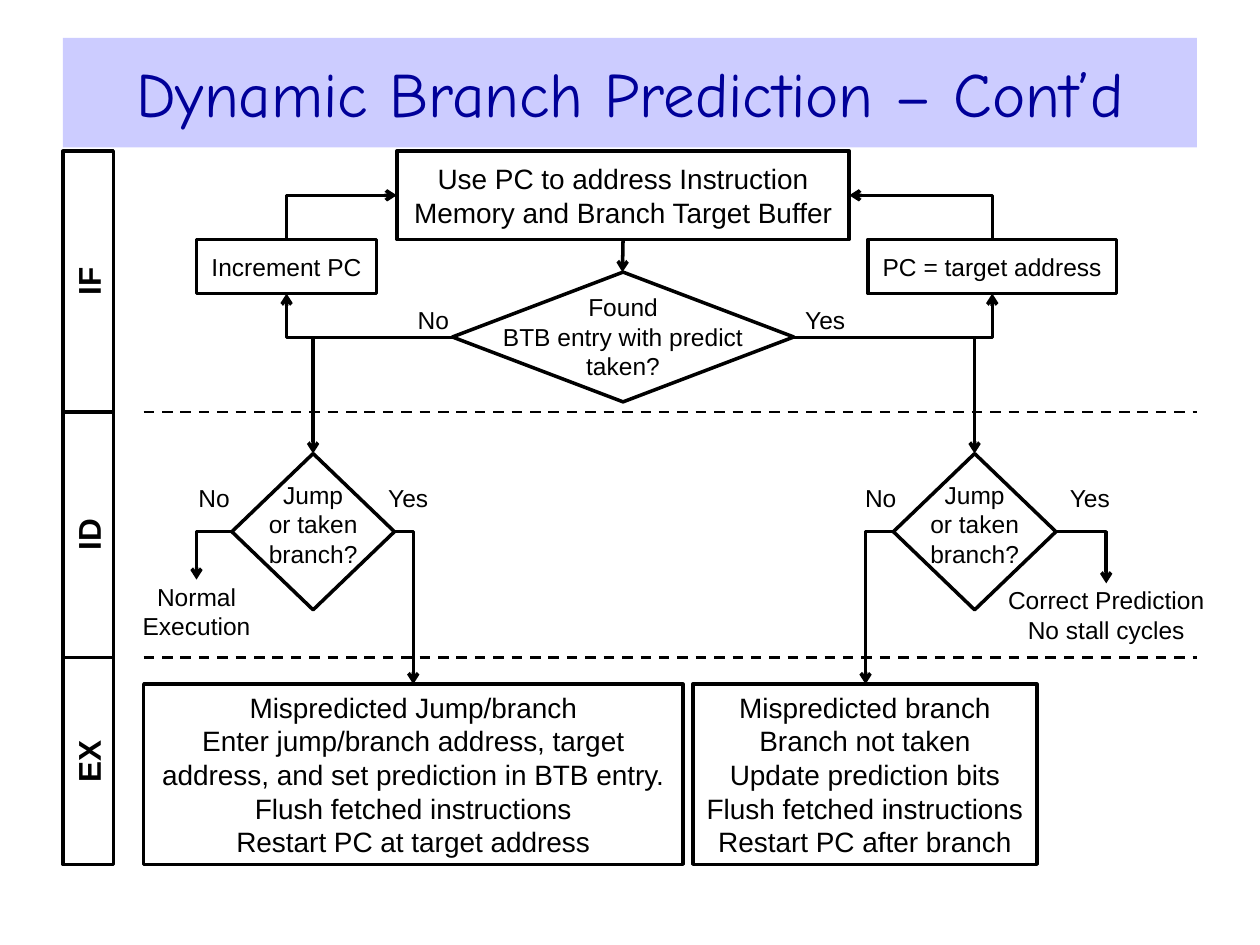
from dataclasses import dataclass

from lxml import etree
from pptx import Presentation
from pptx.dml.color import RGBColor
from pptx.enum.dml import MSO_LINE
from pptx.enum.shapes import MSO_CONNECTOR, MSO_SHAPE
from pptx.enum.text import MSO_ANCHOR, PP_ALIGN
from pptx.oxml.ns import qn
from pptx.util import Inches, Pt

STRAIGHT, ELBOW = MSO_CONNECTOR.STRAIGHT, MSO_CONNECTOR.ELBOW
PROCESS, DECISION = MSO_SHAPE.FLOWCHART_PROCESS, MSO_SHAPE.FLOWCHART_DECISION
RECTANGLE = MSO_SHAPE.RECTANGLE
MIDDLE, CENTER, DASH = MSO_ANCHOR.MIDDLE, PP_ALIGN.CENTER, MSO_LINE.DASH
TOP, BOTTOM = 0, 2


@dataclass(frozen=True)
class Theme:
    ink: RGBColor = RGBColor(0, 0, 0)
    paper: RGBColor = RGBColor(255, 255, 255)
    banner: RGBColor = RGBColor(0xCC, 0xCC, 0xFF)
    heading: RGBColor = RGBColor(0, 0, 0x99)
    title_font: str = "Comic Neue"
    body_font: str = "Arial"
    title: int = 36
    stage: int = 18
    step: int = 16
    label: int = 14
    stroke: float = 2
    divider: float = 1.5


THEME = Theme()


@dataclass(frozen=True)
class Box:
    left: float
    top: float
    width: float
    height: float

    def inner(self, x, y, width, height):
        return Box(self.left + x, self.top + y, width, height)

    def point(self, x, y):
        return self.left + x, self.top + y

    def lengths(self):
        return [Inches(v) for v in (self.left, self.top, self.width, self.height)]


def write(shape, lines, size, color=THEME.ink, font=THEME.body_font, bold=False, inset=0):
    frame = shape.text_frame
    frame.word_wrap = True
    frame.vertical_anchor = MIDDLE
    frame.margin_left = frame.margin_right = Inches(inset)
    frame.margin_top = frame.margin_bottom = 0
    for index, line in enumerate(lines):
        para = frame.add_paragraph() if index else frame.paragraphs[0]
        para.alignment = CENTER
        span = para.add_run()
        span.text = line
        span.font.name = font
        span.font.size = Pt(size)
        span.font.bold = bold
        span.font.color.rgb = color


def add_outline(page, box, kind=PROCESS, fill=None):
    shape = page.shapes.add_shape(kind, *box.lengths())
    shape.shadow.inherit = False
    if fill is None:
        shape.fill.background()
    else:
        shape.fill.solid()
        shape.fill.fore_color.rgb = fill
    shape.line.color.rgb = THEME.ink
    shape.line.width = Pt(THEME.stroke)
    return shape


def add_label(page, box, *lines):
    write(page.shapes.add_textbox(*box.lengths()), lines, THEME.label)


def add_line(page, start, end, kind=STRAIGHT, width=THEME.stroke, arrow="tailEnd"):
    connector = page.shapes.add_connector(kind, *(Inches(v) for v in (*start, *end)))
    connector.line.color.rgb = THEME.ink
    connector.line.width = Pt(width)
    properties = connector._element.spPr
    if kind == ELBOW:
        properties.find(qn("a:prstGeom")).set("prst", "bentConnector2")
    if arrow:
        etree.SubElement(connector.line._get_or_add_ln(), qn(f"a:{arrow}"), type="arrow")
    etree.SubElement(properties, qn("a:effectLst"))
    return connector


def add_decision(page, box, text_top, *lines):
    diamond = add_outline(page, box, DECISION)
    add_label(page, box.inner(0, text_top, box.width, 0.8), *lines)
    return diamond


def draw_title(page, box):
    banner = add_outline(page, box, RECTANGLE, THEME.banner)
    banner.line.fill.background()
    write(banner, ["Dynamic Branch Prediction – Cont’d"], THEME.title,
          THEME.heading, THEME.title_font, inset=0.1)


def draw_stage(page, box, name):
    middle_x, middle_y = box.left + box.width / 2, box.top + box.height / 2
    turned = Box(middle_x - box.height / 2, middle_y - box.width / 2, box.height, box.width)
    tag = add_outline(page, turned, RECTANGLE)
    tag.rotation = 270
    write(tag, [name], THEME.stage, bold=True)


def draw_fetch(page, box):
    lookup = add_outline(page, box.inner(2.01, 0, 3.59, 0.7), fill=THEME.paper)
    write(lookup, ["Use PC to address Instruction Memory and Branch Target Buffer"], THEME.step)
    add_decision(page, box.inner(2.45, 0.96, 2.71, 1.03), 0.11,
                 "Found", "BTB entry with predict", "taken?")
    down = add_line(page, box.point(3.8, 0.7), box.point(3.8, 0.96))
    down.begin_connect(lookup, BOTTOM)

    sides = [("Increment PC", 0.42, 1.43, 2.01, 2.45, "No", 2.04),
             ("PC = target address", 5.75, 1.97, 5.6, 5.16, "Yes", 5.24)]
    for text, left, width, entry, leave, answer, answer_left in sides:
        update = add_outline(page, box.inner(left, 0.7, width, 0.43))
        write(update, [text], THEME.label)
        middle = left + width / 2
        add_line(page, box.point(entry, 0.35), box.point(middle, 0.7), ELBOW, arrow="headEnd")
        add_line(page, box.point(leave, 1.48), box.point(middle, 1.13), ELBOW)
        add_label(page, box.inner(answer_left, 1.2, 0.34 if answer == "Yes" else 0.52, 0.28), answer)


def draw_decode(page, box, exits):
    diamond = add_decision(page, box, 0.16, "Jump", "or taken", "branch?")
    middle = box.width / 2
    drop = add_line(page, box.point(middle, -0.92), box.point(middle, 0))
    drop.end_connect(diamond, TOP)
    for answer, start, answer_middle, turn, length, outcome in exits:
        add_label(page, box.inner(answer_middle - 0.25, 0.21, 0.5, 0.28), answer)
        add_line(page, box.point(start, 0.62), box.point(turn, 0.62 + length), ELBOW)
        if outcome:
            add_label(page, box.inner(turn - 0.84, 0.62 + length, 1.68, 0.5), *outcome)


def draw_execute(page, box):
    endings = [
        (0, 4.28, ["Mispredicted Jump/branch",
                   "Enter jump/branch address, target address, and set prediction in BTB entry.",
                   "Flush fetched instructions", "Restart PC at target address"]),
        (4.36, 2.73, ["Mispredicted branch", "Branch not taken", "Update prediction bits",
                      "Flush fetched instructions", "Restart PC after branch"]),
    ]
    for left, width, lines in endings:
        ending = add_outline(page, box.inner(left, 0.21, width, 1.43))
        write(ending, lines, THEME.step, inset=0.05)


def main():
    deck = Presentation()
    deck.slide_width, deck.slide_height = Inches(10), Inches(7.5)
    page = deck.slides.add_slide(deck.slide_layouts[6])

    draw_title(page, Box(0.5, 0.3, 9, 0.87))
    top = 1.2
    rows = {}
    for name, height in [("IF", 2.07), ("ID", 1.95), ("EX", 1.64)]:
        draw_stage(page, Box(0.5, top, 0.4, height), name)
        rows[name] = Box(1.14, top, 8.36, height)
        top += height
    for name in ("ID", "EX"):
        row = rows[name]
        divider = add_line(page, row.point(0, 0), row.point(row.width, 0),
                           width=THEME.divider, arrow=None)
        divider.line.dash_style = DASH

    draw_fetch(page, rows["IF"])
    draw_decode(page, rows["ID"].inner(0.7, 0.33, 1.29, 1.24), [
        ("No", 0, -0.14, -0.28, 0.38, ["Normal", "Execution"]),
        ("Yes", 1.29, 1.4, 1.44, 1.21, None),
    ])
    draw_decode(page, rows["ID"].inner(5.95, 0.33, 1.29, 1.24), [
        ("No", 0, -0.1, -0.22, 1.21, None),
        ("Yes", 1.29, 1.56, 1.69, 0.41, ["Correct Prediction", "No stall cycles"]),
    ])
    draw_execute(page, rows["EX"])
    deck.save("out.pptx")


if __name__ == "__main__":
    main()
